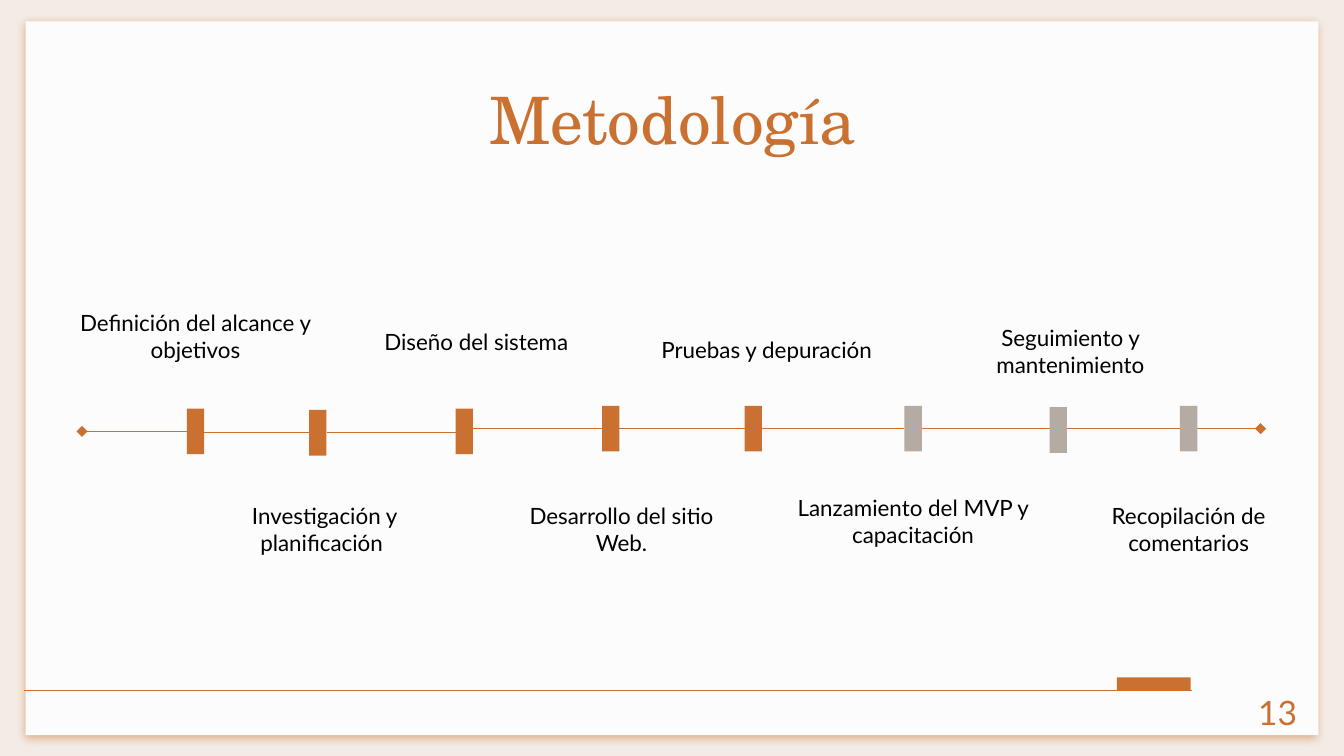
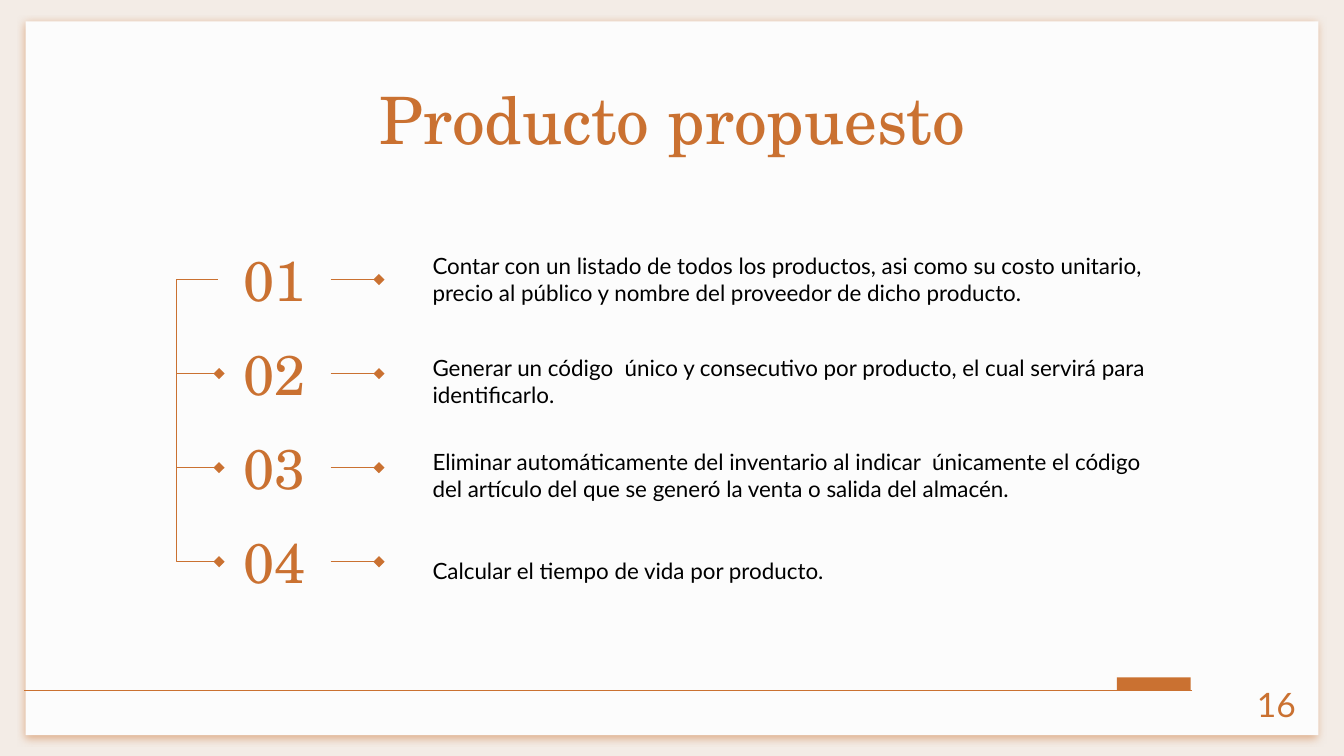
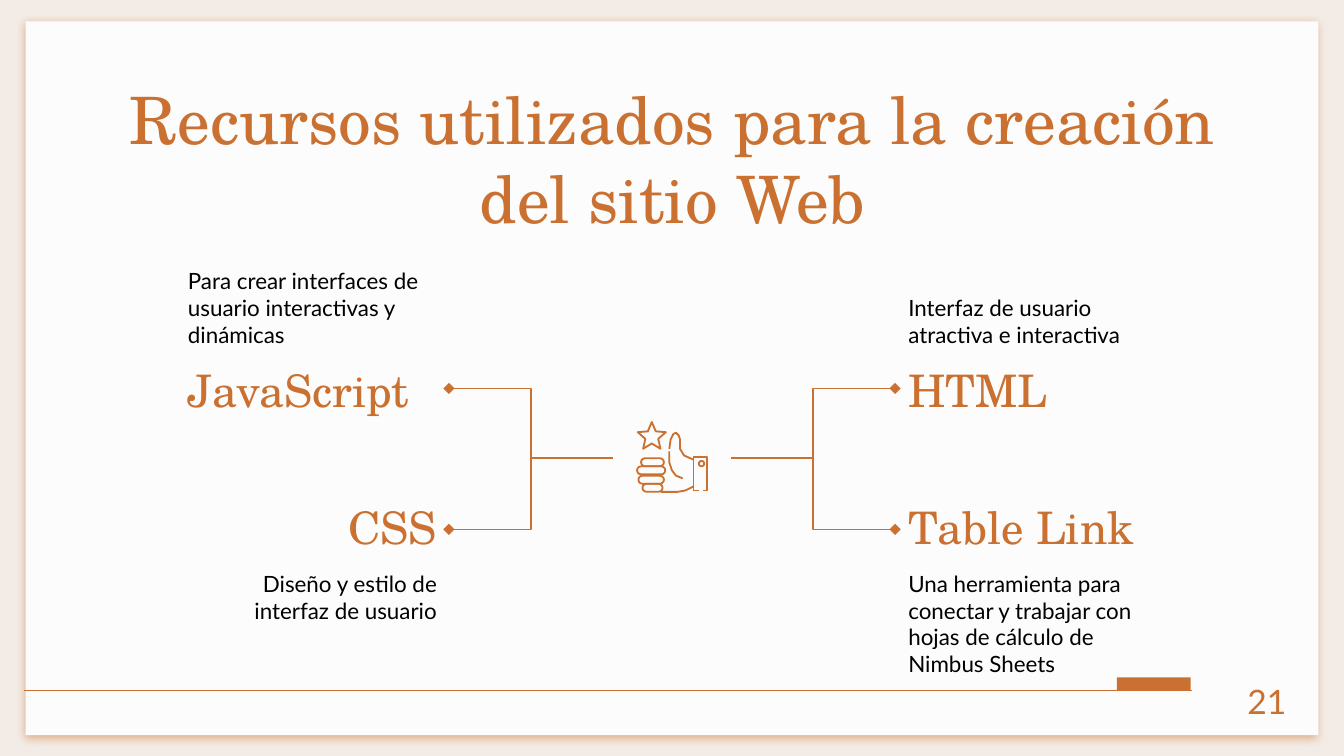
import math

import lxml.etree
import pptx
import pptx.dml.color
import pptx.enum.shapes
import pptx.enum.text
import pptx.oxml
import pptx.oxml.ns
import pptx.util

Inches = pptx.util.Inches
Pt = pptx.util.Pt
qn = pptx.oxml.ns.qn
Shape = pptx.enum.shapes.MSO_SHAPE
Connector = pptx.enum.shapes.MSO_CONNECTOR
Align = pptx.enum.text.PP_ALIGN
Anchor = pptx.enum.text.MSO_ANCHOR

ORANGE, GREY, BLACK = "CA7131", "B4ACA2", "000000"
PAPER, BACKDROP = "FCFCFC", "F3ECE6"
SERIF, SANS = "TeX Gyre Schola", "Lato"


def color(code):
    return pptx.dml.color.RGBColor.from_string(code)


class Deck:
    """Holds the shared style and draws elements on the current slide."""

    def __init__(self):
        self.deck = pptx.Presentation()
        self.deck.slide_width = Inches(10)
        self.deck.slide_height = Inches(10) * 9 // 16
        self.page = None

    def add_page(self, title, number, number_left, number_top):
        self.page = self.deck.slides.add_slide(self.deck.slide_layouts[6])
        background = self.page.background.fill
        background.solid()
        background.fore_color.rgb = color(BACKDROP)
        self.add_shadow(self.block(0.19, 0.16, 9.62, 5.31, PAPER))
        self.line((8.87, 5.14), (0.18, 5.14))
        self.block(8.31, 5.04, 0.55, 0.1)
        self.heading(title, 0.79, 0.49, 8.43, 0.63, 35, Align.CENTER)
        self.text(number, number_left, number_top, 0.6, 0.43, 18, SANS, ORANGE, Align.RIGHT)

    def add_shadow(self, shape):
        effects = shape._element.spPr.find(qn("a:effectLst"))
        shadow = lxml.etree.SubElement(
            effects, qn("a:outerShdw"), blurRad="57150", dist="19050",
            dir="5400000", algn="bl", rotWithShape="0")
        tint = lxml.etree.SubElement(shadow, qn("a:srgbClr"), val=ORANGE)
        lxml.etree.SubElement(tint, qn("a:alpha"), val="50000")

    def block(self, left, top, width, height, fill=ORANGE):
        shape = self.page.shapes.add_shape(
            Shape.RECTANGLE, Inches(left), Inches(top), Inches(width), Inches(height))
        shape.shadow.inherit = False
        shape.fill.solid()
        shape.fill.fore_color.rgb = color(fill)
        shape.line.fill.background()
        return shape

    def text(self, words, left, top, width, height, size=12, font=SANS,
             ink=BLACK, align=Align.LEFT, anchor=Anchor.TOP):
        box = self.page.shapes.add_textbox(
            Inches(left), Inches(top), Inches(width), Inches(height))
        frame = box.text_frame
        frame.word_wrap = True
        frame.vertical_anchor = anchor
        frame.margin_left = frame.margin_right = Inches(0.1)
        frame.margin_top = frame.margin_bottom = Inches(0.1)
        para = frame.paragraphs[0]
        para.text = words
        para.alignment = align
        para.font.size = Pt(size)
        para.font.name = font
        para.font.color.rgb = color(ink)

    def heading(self, words, left, top, width, height, size, align=Align.LEFT, anchor=Anchor.TOP):
        self.text(words, left, top, width, height, size, SERIF, ORANGE, align, anchor)

    def line(self, start, end, head=False, tail=False, elbow=False, bend=None):
        kind = Connector.ELBOW if elbow else Connector.STRAIGHT
        connector = self.page.shapes.add_connector(
            kind, *(Inches(value) for value in (*start, *end)))
        connector.line.color.rgb = color(ORANGE)
        connector.line.width = Pt(0.75)
        properties = connector._element.spPr
        stroke = properties.find(qn("a:ln"))
        for wanted, tag in ((head, "a:headEnd"), (tail, "a:tailEnd")):
            if wanted:
                lxml.etree.SubElement(stroke, qn(tag), type="diamond", w="med", len="med")
        lxml.etree.SubElement(properties, qn("a:effectLst"))
        if bend is not None:
            guides = properties.find(qn("a:prstGeom")).get_or_add_avLst()
            lxml.etree.SubElement(
                guides, qn("a:gd"), name="adj1", fmla=f"val {round(bend * 100000)}")

    def outline(self, shape):
        shape.shadow.inherit = False
        shape.fill.background()
        shape.line.color.rgb = color(ORANGE)
        shape.line.width = Pt(1)

    def stroke(self, points, close=False):
        places = [(Inches(x), Inches(y)) for x, y in points]
        builder = self.page.shapes.build_freeform(*places[0])
        builder.add_line_segments(places[1:], close=close)
        self.outline(builder.convert_to_shape())

    def hollow(self, kind, left, top, width, height):
        shape = self.page.shapes.add_shape(
            kind, Inches(left), Inches(top), Inches(width), Inches(height))
        self.outline(shape)
        return shape


def draw_methodology(deck):
    deck.add_page("Metodología", "13", 9.15, 5.05)
    links = [((0.61, 3.21), (2.3, 3.22)), ((2.43, 3.22), (4.48, 3.19)),
             ((4.6, 3.19), (6.73, 3.19)), ((6.85, 3.19), (9.38, 3.19))]
    for index, (start, end) in enumerate(links):
        deck.line(start, end, head=index == 0, tail=index == len(links) - 1, elbow=True)
    steps = [
        (1.39, 3.04, ORANGE, "Definición del alcance y objetivos", 0.49, 2.23, Anchor.BOTTOM),
        (2.3, 3.05, ORANGE, "Investigación y planificación ", 1.45, 3.64, Anchor.TOP),
        (3.39, 3.04, ORANGE, "Diseño del sistema", 2.58, 2.17, Anchor.BOTTOM),
        (4.48, 3.02, ORANGE, "Desarrollo del sitio Web.", 3.66, 3.64, Anchor.TOP),
        (5.54, 3.02, ORANGE, "Pruebas y depuración", 4.74, 2.23, Anchor.BOTTOM),
        (6.73, 3.02, GREY, "Lanzamiento del MVP y capacitación", 5.83, 3.58, Anchor.TOP),
        (7.81, 3.03, GREY, "Seguimiento y mantenimiento", 7, 2.31, Anchor.TOP),
        (8.78, 3.02, GREY, "Recopilación de comentarios", 7.88, 3.64, Anchor.TOP),
    ]
    for marker_left, marker_top, fill, label, left, top, anchor in steps:
        deck.block(marker_left, marker_top, 0.13, 0.34, fill)
        deck.text(label, left, top, 1.93, 0.57, align=Align.CENTER, anchor=anchor)


def draw_product(deck):
    deck.add_page("Producto propuesto", "16", 9.14, 4.99)
    features = [
        (1.79, "Contar con un listado de todos los productos, asi como su costo unitario, "
               "precio al público y nombre del proveedor de dicho producto."),
        (2.55, "Generar un código  único y consecutivo por producto, el cual servirá para "
               "identificarlo."),
        (3.25, "Eliminar automáticamente del inventario al indicar  únicamente el código "
               "del artículo del que se generó la venta o salida del almacén."),
        (3.96, "Calcular el tiempo de vida por producto."),
    ]
    pitch = 0.7
    for index, (top, feature) in enumerate(features):
        middle = 2.08 + index * pitch
        deck.heading(f"{index + 1:02}", 1.62, middle - 0.29, 0.84, 0.57, 30,
                     Align.CENTER, Anchor.MIDDLE)
        deck.text(feature, 3.12, top, 5.67, 0.57, anchor=Anchor.MIDDLE)
        deck.line((2.46, middle), (2.82, middle), tail=True)
        if index:
            deck.line((1.62, middle - pitch), (1.63, middle), tail=True, elbow=True, bend=-31)


def draw_thumb_icon(deck):
    star = []
    for corner in range(10):
        radius = 0.05 if corner % 2 else 0.11
        angle = math.radians(36 * corner - 90)
        star.append((4.85 + radius * math.cos(angle), 3.25 + radius * math.sin(angle)))
    deck.stroke(star, close=True)
    fingers = [(4.77, 3.41, 0.17), (4.74, 3.47, 0.21), (4.75, 3.54, 0.19), (4.78, 3.6, 0.15)]
    for left, top, width in fingers:
        deck.hollow(Shape.ROUNDED_RECTANGLE, left, top, width, 0.06).adjustments[0] = 0.5
    thumb = [(4.98, 3.34), (4.99, 3.27), (5.01, 3.23), (5.03, 3.22), (5.05, 3.24),
             (5.06, 3.27), (5.06, 3.34), (5.09, 3.39), (5.16, 3.42)]
    palm = [(4.98, 3.36), (4.98, 3.44), (5, 3.5), (5.03, 3.54), (5.08, 3.56)]
    wrist = [(4.92, 3.66), (5.04, 3.66), (5.1, 3.65), (5.16, 3.62)]
    cuff = [(5.2, 3.65), (5.16, 3.65), (5.16, 3.4), (5.26, 3.4), (5.26, 3.65), (5.23, 3.65)]
    for points in (thumb, palm, wrist, cuff):
        deck.stroke(points)
    deck.hollow(Shape.OVAL, 5.2, 3.43, 0.04, 0.04)


def draw_resources(deck):
    deck.add_page("Recursos utilizados para la creación del sitio Web", "21", 9.07, 4.97)
    upper = (2.6, Anchor.TOP, 2.31, Anchor.BOTTOM)
    lower = (3.65, Anchor.BOTTOM, 4.14, Anchor.TOP)
    resources = [
        ("JavaScript", "Para crear interfaces de usuario interactivas y dinámicas",
         1.3, upper, Align.LEFT),
        ("CSS", "Diseño y estilo de interfaz de usuario", 1.3, lower, Align.RIGHT),
        ("HTML", "Interfaz de usuario atractiva e interactiva", 6.66, upper, Align.LEFT),
        ("Table Link", "Una herramienta para conectar y trabajar con hojas de cálculo de "
         "Nimbus Sheets", 6.66, lower, Align.LEFT),
    ]
    for name, purpose, left, row, align in resources:
        name_top, name_anchor, purpose_top, purpose_anchor = row
        deck.heading(name, left, name_top, 2.05, 0.57, 24, align, name_anchor)
        deck.text(purpose, left, purpose_top, 2.05, 0.38, align=align, anchor=purpose_anchor)
    for outer, inner in ((3.34, 4.56), (6.66, 5.44)):
        for level in (2.89, 3.94):
            deck.line((outer, level), (inner, 3.41), head=True, elbow=True)
    draw_thumb_icon(deck)


def main():
    deck = Deck()
    draw_methodology(deck)
    draw_product(deck)
    draw_resources(deck)
    deck.deck.save("out.pptx")


if __name__ == "__main__":
    main()
